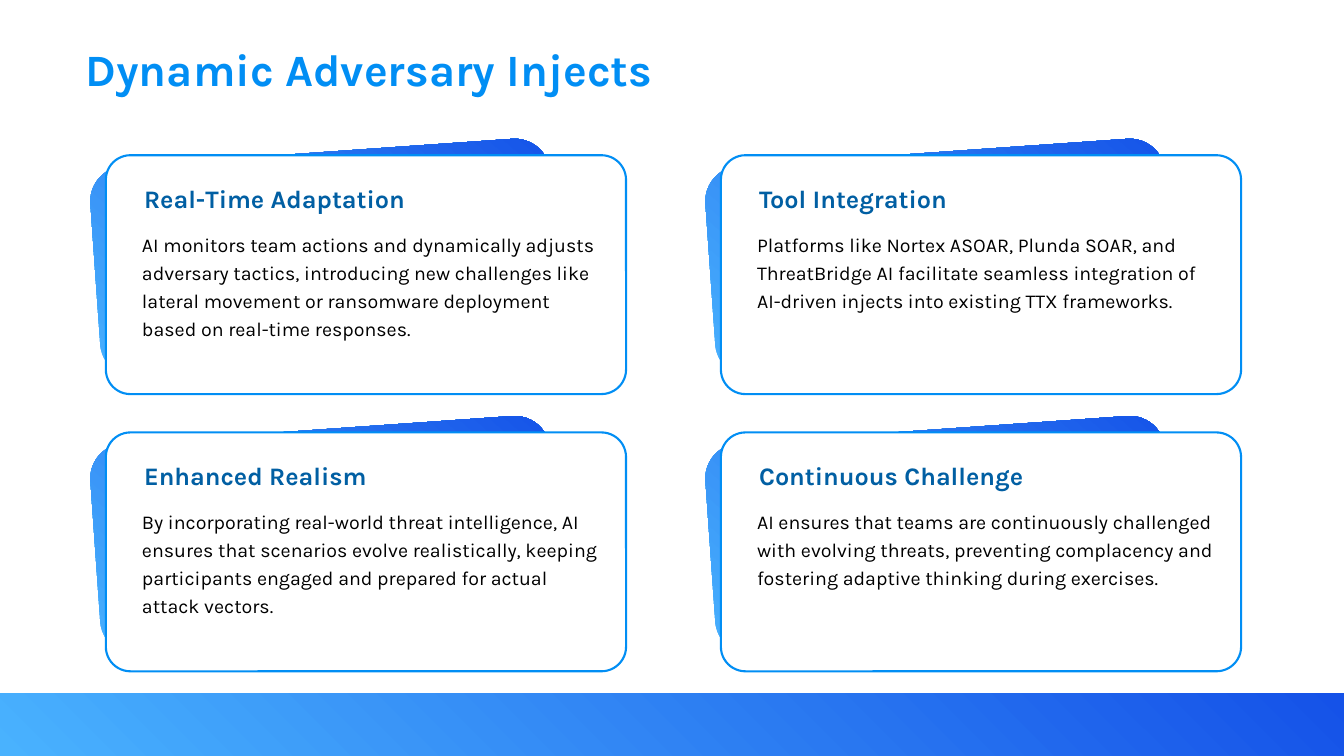
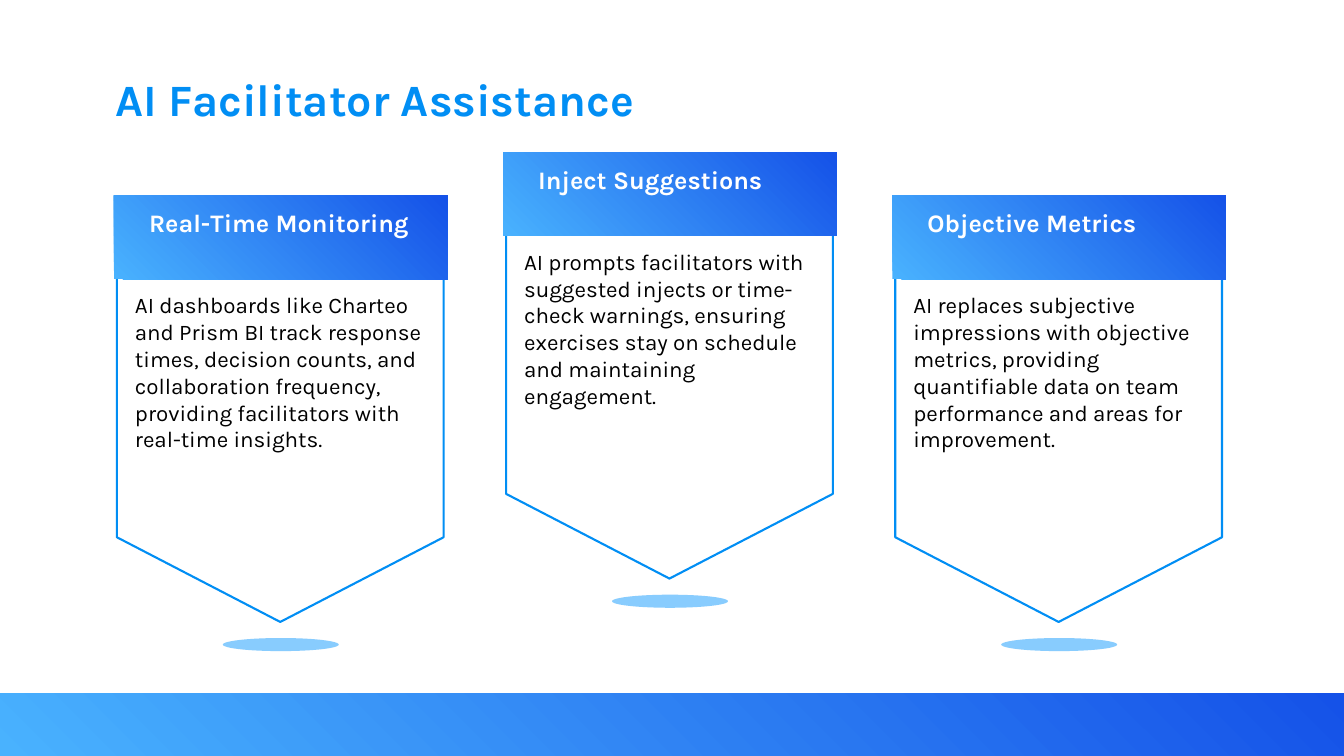
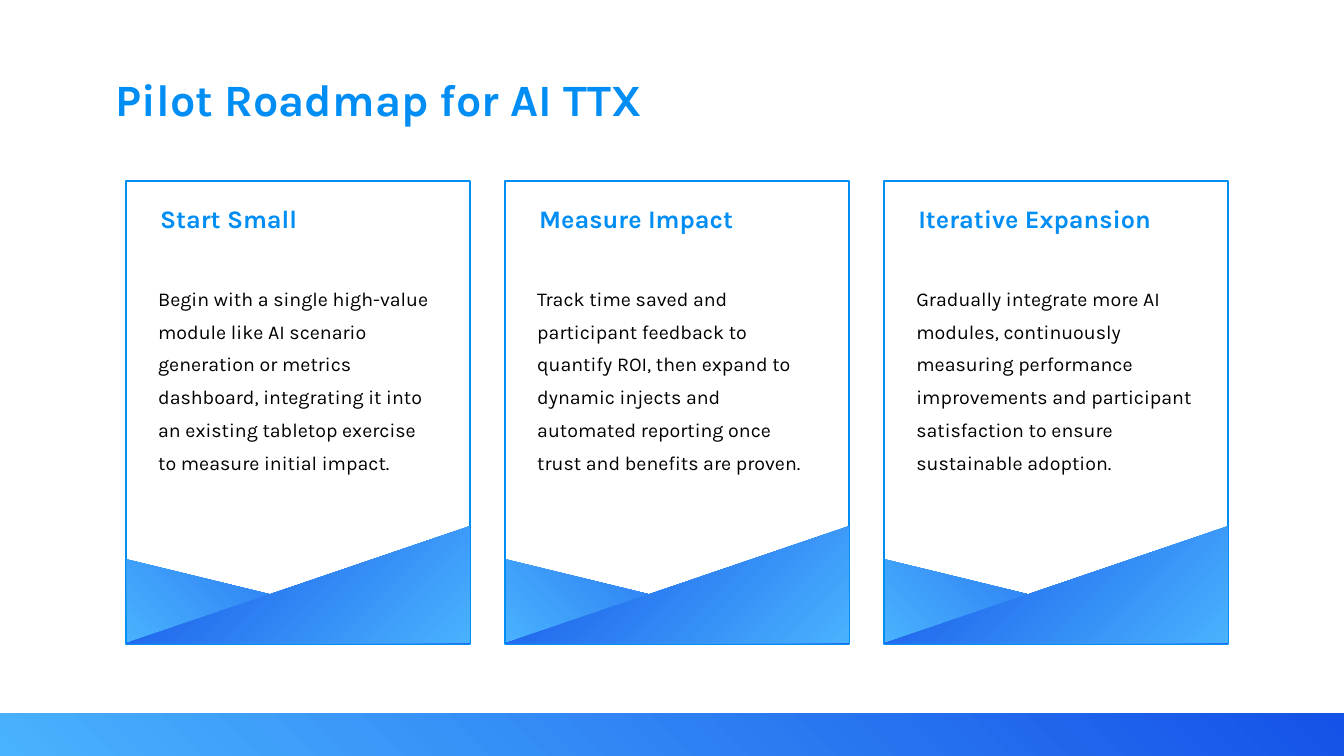
from lxml import etree
from pptx import Presentation
from pptx import util as u
from pptx.dml import color
from pptx.enum import shapes, text
from pptx.oxml import ns

SLIDE_WIDTH, SLIDE_HEIGHT = 13.33, 7.5
FONT = "Karla"
COLORS = {
    "accent": "018EF4",
    "heading": "015FA3",
    "light": "49B2FE",
    "deep": "1552E8",
    "white": "FFFFFF",
    "black": "000000",
}

INJECTS = [
    ("Real-Time Adaptation", "AI monitors team actions and dynamically adjusts adversary tactics, introducing new challenges like lateral movement or ransomware deployment based on real-time responses."),
    ("Tool Integration", "Platforms like Nortex ASOAR, Plunda SOAR, and ThreatBridge AI facilitate seamless integration of AI-driven injects into existing TTX frameworks."),
    ("Enhanced Realism", "By incorporating real-world threat intelligence, AI ensures that scenarios evolve realistically, keeping participants engaged and prepared for actual attack vectors."),
    ("Continuous Challenge", "AI ensures that teams are continuously challenged with evolving threats, preventing complacency and fostering adaptive thinking during exercises."),
]
ASSISTANCE = [
    ("Real-Time Monitoring", "AI dashboards like Charteo and Prism BI track response times, decision counts, and collaboration frequency, providing facilitators with real-time insights."),
    ("Inject Suggestions", "AI prompts facilitators with suggested injects or time-check warnings, ensuring exercises stay on schedule and maintaining engagement."),
    ("Objective Metrics", "AI replaces subjective impressions with objective metrics, providing quantifiable data on team performance and areas for improvement."),
]
ROADMAP = [
    ("Start Small", "Begin with a single high-value module like AI scenario generation or metrics dashboard, integrating it into an existing tabletop exercise to measure initial impact."),
    ("Measure Impact", "Track time saved and participant feedback to quantify ROI, then expand to dynamic injects and automated reporting once trust and benefits are proven."),
    ("Iterative Expansion", "Gradually integrate more AI modules, continuously measuring performance improvements and participant satisfaction to ensure sustainable adoption."),
]


def rgb(name):
    """Return a palette colour."""
    return color.RGBColor.from_string(COLORS[name])


def style_shape(shape, fill=None, line=None):
    """Give a shape a solid or gradient fill, and an outline if named."""
    shape.shadow.inherit = False
    if fill:
        shape.fill.solid()
        shape.fill.fore_color.rgb = rgb(fill)
    else:
        shape.fill.gradient()
        shape.fill.gradient_angle = 45
        for stop, name in zip(shape.fill.gradient_stops, ("light", "deep")):
            stop.color.rgb = rgb(name)
    if line:
        shape.line.color.rgb = rgb(line)
        shape.line.width = u.Pt(1.5)
    else:
        shape.line.fill.background()


def add_box(slide, kind, box, fill=None, line=None, corner=None):
    """Add a styled preset shape."""
    shape = slide.shapes.add_shape(kind, *map(u.Inches, box))
    style_shape(shape, fill, line)
    if corner is not None:
        shape.adjustments[0] = corner
    return shape


def add_outline(slide, points, fill, line):
    """Add a styled closed polygon through points given in inches."""
    start, *others = [tuple(map(u.Inches, point)) for point in points]
    builder = slide.shapes.build_freeform(*start)
    builder.add_line_segments(others)
    style_shape(builder.convert_to_shape(), fill, line)


def add_text(slide, box, words, size, ink="black", bold=False, spacing=None):
    """Add a wrapping text box with one run."""
    frame = slide.shapes.add_textbox(*map(u.Inches, box)).text_frame
    frame.word_wrap = True
    frame.auto_size = text.MSO_AUTO_SIZE.SHAPE_TO_FIT_TEXT
    paragraph = frame.paragraphs[0]
    if spacing:
        paragraph.line_spacing = spacing
    run = paragraph.add_run()
    run.text = words
    run.font.name = FONT
    run.font.size = u.Pt(size)
    run.font.bold = bold
    run.font.color.rgb = rgb(ink)


def add_heading(slide, left, top, width, words, ink):
    """Add a bold card heading."""
    add_text(slide, (left, top, width, 0.31), words, 18, ink, bold=True)


def add_slide(presentation, title, left=1.05, top=0.66, band=0.62):
    """Add a blank slide with its title and bottom gradient band."""
    slide = presentation.slides.add_slide(presentation.slide_layouts[6])
    add_text(slide, (left, top, 10.72, 0.55), title, 32, "accent", bold=True)
    add_box(slide, shapes.MSO_SHAPE.RECTANGLE, (0, SLIDE_HEIGHT - band, SLIDE_WIDTH, band))
    return slide


def add_inject_card(slide, left, top, heading, body):
    """Add a rounded card over a tilted gradient backing."""
    rounded = shapes.MSO_SHAPE.ROUNDED_RECTANGLE
    backing = add_box(slide, rounded, (left - 0.11, top - 0.03, 4.57, 2.1), corner=0.167)
    backing.rotation = -4
    add_box(slide, rounded, (left, top, 5.16, 2.37), "white", "accent", corner=0.103)
    add_heading(slide, left + 0.28, top + 0.23, 4.72, heading, "heading")
    add_text(slide, (left + 0.26, top + 0.67, 4.81, 1.19), body, 14, spacing=1.2)


def add_pennant(slide, left, top, heading, body):
    """Add a pointed panel with a gradient header and a soft ground ellipse."""
    edge, right = left + 0.03, left + 3.27
    upper, shoulder = top + 0.45, top + 3.39
    tip = ((edge + right) / 2, top + 4.23)
    corners = [(edge, upper), (right, upper), (right, shoulder), tip, (edge, shoulder)]
    add_outline(slide, corners, "white", "accent")
    add_box(slide, shapes.MSO_SHAPE.RECTANGLE, (left, top, 3.31, 0.83))
    ground = add_box(slide, shapes.MSO_SHAPE.OVAL, (left + 1.08, top + 4.39, 1.15, 0.13), "light")
    tint = ground.element.spPr.find(".//" + ns.qn("a:srgbClr"))
    etree.SubElement(tint, ns.qn("a:alpha"), val="65000")
    add_heading(slide, left + 0.25, top + 0.07, 2.8, heading, "white")
    add_text(slide, (left + 0.11, top + 0.9, 3.08, 2.05), body, 16)


def add_roadmap_card(slide, left, top, heading, body):
    """Add an outlined card with two gradient triangles at its foot."""
    triangle = shapes.MSO_SHAPE.RIGHT_TRIANGLE
    add_box(slide, shapes.MSO_SHAPE.RECTANGLE, (left, top, 3.41, 4.59), "white", "accent")
    add_box(slide, triangle, (left + 0.01, top + 3.75, 3.4, 0.83))
    front = add_box(slide, triangle, (left + 0.01, top + 3.42, 3.4, 1.16))
    front.element.spPr.find(ns.qn("a:xfrm")).set("flipH", "1")
    add_heading(slide, left + 0.24, top + 0.17, 2.9, heading, "accent")
    add_text(slide, (left + 0.22, top + 0.9, 2.95, 1.96), body, 14, spacing=1.4)


def main():
    """Build and save the three slides."""
    presentation = Presentation()
    presentation.slide_width = u.Inches(SLIDE_WIDTH)
    presentation.slide_height = u.Inches(SLIDE_HEIGHT)

    slide = add_slide(presentation, "Dynamic Adversary Injects", left=0.75, top=0.36)
    for index, card in enumerate(INJECTS):
        row, column = divmod(index, 2)
        add_inject_card(slide, 1.05 + 6.1 * column, 1.54 + 2.75 * row, *card)

    slide = add_slide(presentation, "AI Facilitator Assistance")
    for index, card in enumerate(ASSISTANCE):
        add_pennant(slide, 1.13 + 3.86 * index, 1.51 if index == 1 else 1.94, *card)

    slide = add_slide(presentation, "Pilot Roadmap for AI TTX", band=0.42)
    for index, card in enumerate(ROADMAP):
        add_roadmap_card(slide, 1.25 + 3.76 * index, 1.8, *card)

    presentation.save("out.pptx")


if __name__ == "__main__":
    main()
